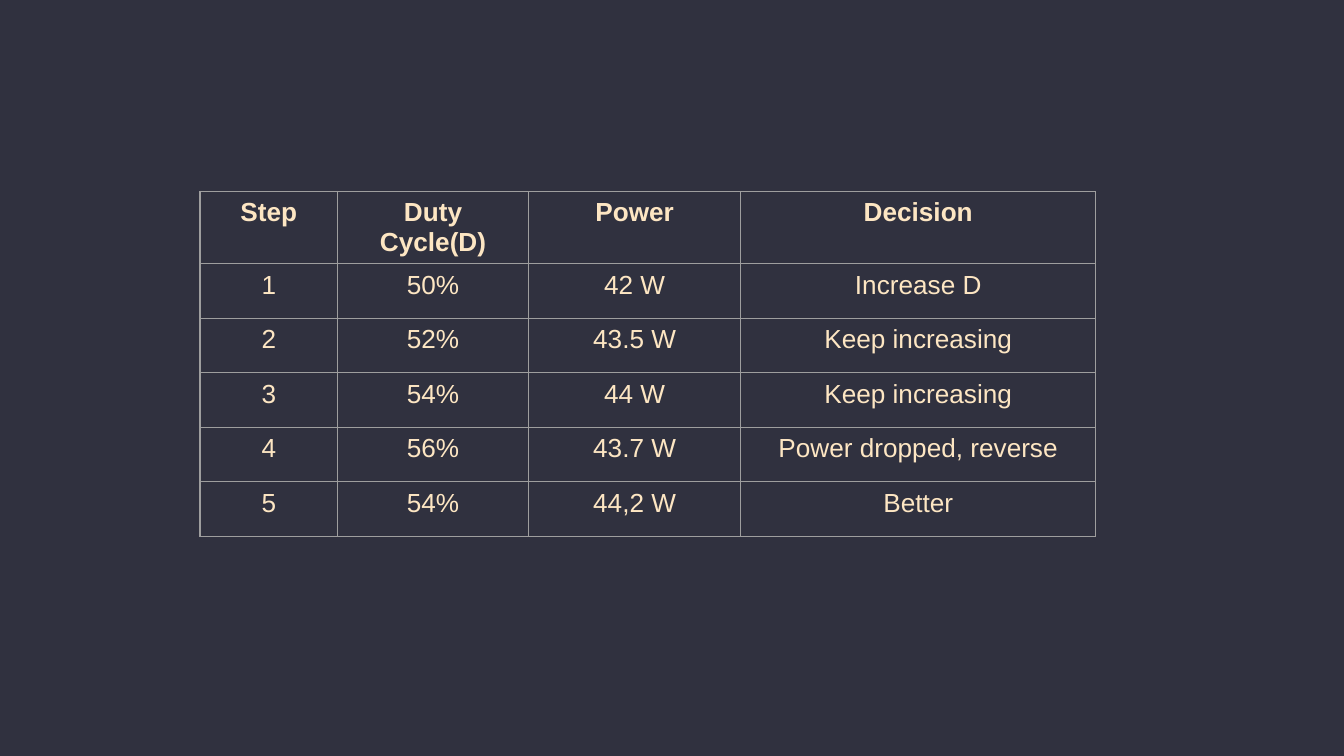
from lxml import etree
from pptx import Presentation
from pptx.dml.color import RGBColor
from pptx.enum.text import PP_ALIGN
from pptx.oxml.ns import qn
from pptx.util import Cm, Pt

CENTER = PP_ALIGN.CENTER

ROWS = [
    ("Step", "Duty Cycle(D)", "Power", "Decision"),
    ("1", "50%", "42 W", "Increase D"),
    ("2", "52%", "43.5 W", "Keep increasing"),
    ("3", "54%", "44 W", "Keep increasing"),
    ("4", "56%", "43.7 W", "Power dropped, reverse"),
    ("5", "54%", "44,2 W", "Better"),
]
COLUMN_WIDTHS = (2.6, 3.61, 4.01, 6.71)
ROW_HEIGHT = 1.03


def rgb(value):
    return RGBColor.from_string(value)


class SlideBuilder:
    """Holds the slide style and draws elements on the current slide."""

    font = "Arial"
    size = 14
    text = "FDE6C3"
    border = "9E9E9E"
    border_width = 0.75
    background = "30313F"

    def __init__(self, prs):
        self.s = prs.slides.add_slide(prs.slide_layouts[6])
        fill = self.s.background.fill
        fill.solid()
        fill.fore_color.rgb = rgb(self.background)

    def table(self, left, top, widths, row_height, rows):
        frame = self.s.shapes.add_table(
            len(rows), len(widths), Cm(left), Cm(top),
            Cm(sum(widths)), Cm(row_height * len(rows)))
        table = frame.table
        table.horz_banding = False
        for column, width in zip(table.columns, widths):
            column.width = Cm(width)
        for i, values in enumerate(rows):
            table.rows[i].height = Cm(row_height)
            for j, value in enumerate(values):
                self.cell(table.cell(i, j), value, bold=i == 0)

    def cell(self, cell, value, bold):
        self.borders(cell)
        cell.fill.background()
        p = cell.text_frame.paragraphs[0]
        p.alignment = CENTER
        r = p.add_run()
        r.text = value
        r.font.name = self.font
        r.font.size = Pt(self.size)
        r.font.bold = bold
        r.font.color.rgb = rgb(self.text)

    def borders(self, cell):
        properties = cell._tc.get_or_add_tcPr()
        for side in ("lnL", "lnR", "lnT", "lnB"):
            line = etree.SubElement(
                properties, qn(f"a:{side}"), w=str(Pt(self.border_width)))
            fill = etree.SubElement(line, qn("a:solidFill"))
            etree.SubElement(fill, qn("a:srgbClr"), val=self.border)


def main():
    prs = Presentation()
    prs.slide_width = Cm(25.4)
    prs.slide_height = Cm(14.29)
    slide = SlideBuilder(prs)
    slide.table(3.78, 3.62, COLUMN_WIDTHS, ROW_HEIGHT, ROWS)
    prs.save("out.pptx")


if __name__ == "__main__":
    main()
